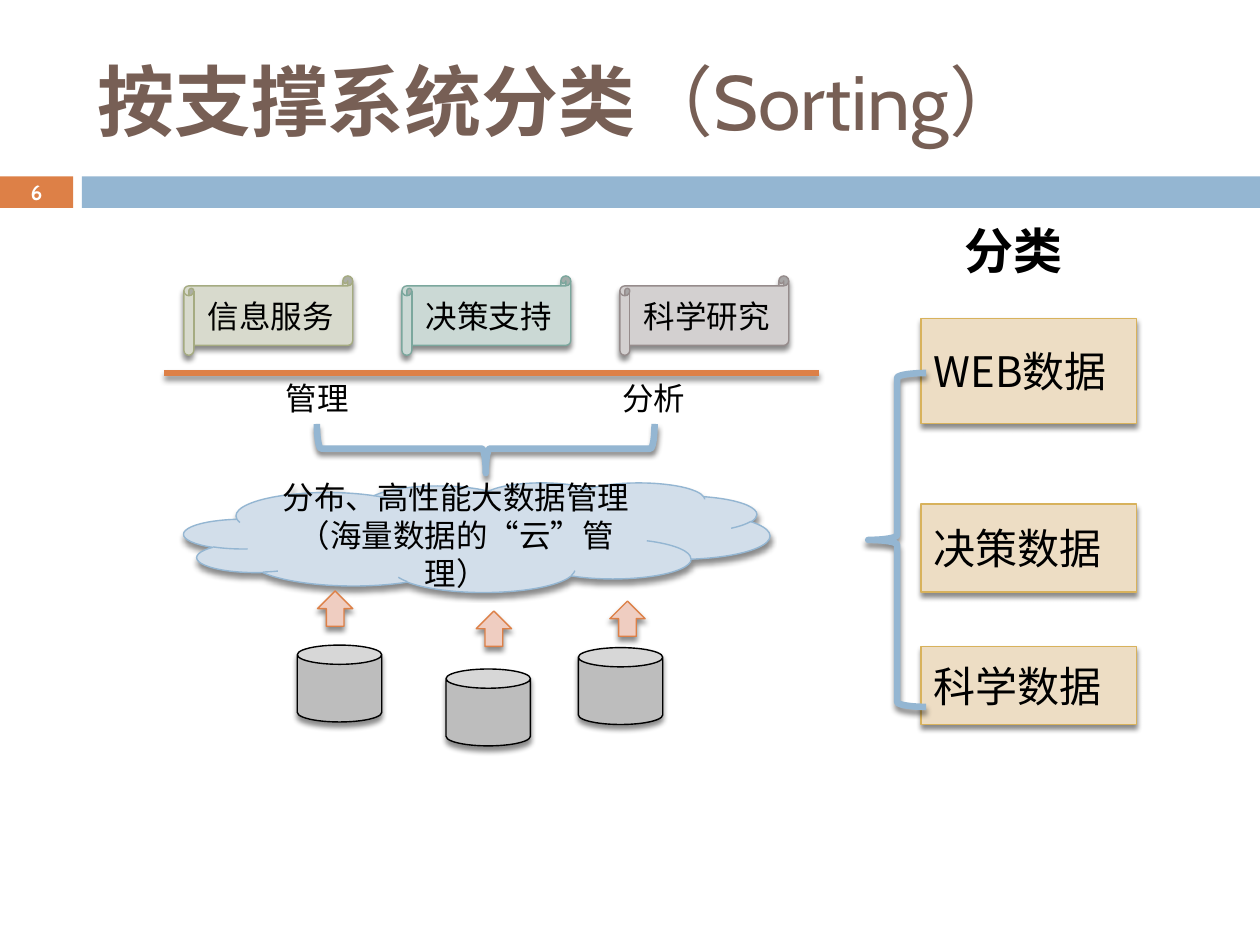
from dataclasses import dataclass
from typing import Optional

import pptx
import pptx.dml.color
import pptx.enum.shapes
import pptx.enum.text
import pptx.oxml.ns
import pptx.util
from lxml import etree

Inches = pptx.util.Inches
Pt = pptx.util.Pt
RGBColor = pptx.dml.color.RGBColor
Shape = pptx.enum.shapes.MSO_SHAPE
Align = pptx.enum.text.PP_ALIGN
Anchor = pptx.enum.text.MSO_ANCHOR
qn = pptx.oxml.ns.qn

BLACK = RGBColor(0x00, 0x00, 0x00)
WHITE = RGBColor(0xFF, 0xFF, 0xFF)
BROWN = RGBColor(0x77, 0x5F, 0x55)
ORANGE = RGBColor(0xDD, 0x80, 0x47)
LIGHT_ORANGE = RGBColor(0xEF, 0xCD, 0xC1)
BLUE = RGBColor(0x94, 0xB6, 0xD2)
LIGHT_BLUE = RGBColor(0xD2, 0xDE, 0xEA)
GREEN = RGBColor(0xA5, 0xAB, 0x81)
LIGHT_GREEN = RGBColor(0xD8, 0xDA, 0xCD)
TEAL = RGBColor(0x7B, 0xA7, 0x9D)
LIGHT_TEAL = RGBColor(0xCB, 0xD9, 0xD5)
GREY = RGBColor(0x96, 0x8C, 0x8C)
LIGHT_GREY = RGBColor(0xD3, 0xD0, 0xD0)
GOLD = RGBColor(0xD8, 0xB2, 0x5C)
SAND = RGBColor(0xED, 0xDD, 0xC4)
SILVER = RGBColor(0xBD, 0xBD, 0xBD)

LATIN_FONT = "Cabin"
CJK_FONT = "Noto Sans CJK JP"
THIN, THICK = 0.79, 3.75


@dataclass
class Box:
    left: float
    top: float
    width: float
    height: float


@dataclass
class Node:
    kind: Shape
    box: Box
    fill: Optional[RGBColor]
    line: Optional[RGBColor]
    weight: float = THIN
    rotation: float = 0
    text: str = ""
    size: float = 18
    align: Align = Align.CENTER
    shadow: bool = True


def place(sp, box: Box) -> None:
    sp.left, sp.top = Inches(box.left), Inches(box.top)
    sp.width, sp.height = Inches(box.width), Inches(box.height)


def format_run(r, size: float, color: RGBColor, font: str = CJK_FONT, bold: bool = False) -> None:
    r.font.size = Pt(size)
    r.font.bold = bold
    r.font.color.rgb = color
    r.font.name = font
    if font == CJK_FONT:
        etree.SubElement(r.font._element, qn("a:ea"), typeface=font)


def write(tf, text: str, align: Align, size: float, color: RGBColor = BLACK,
          font: str = CJK_FONT, bold: bool = False) -> None:
    tf.text = text
    for p in tf.paragraphs:
        p.alignment = align
        for r in p.runs:
            format_run(r, size, color, font, bold)


def add_shadow(sp) -> None:
    """Soft black shadow straight below; call after fill and line are set."""
    sp_pr = sp._element.spPr
    effects = sp_pr.find(qn("a:effectLst"))
    if effects is None:
        effects = etree.SubElement(sp_pr, qn("a:effectLst"))
    outer = etree.SubElement(effects, qn("a:outerShdw"), blurRad=str(Pt(3)),
                             dist=str(Pt(2.4)), dir="5400000", rotWithShape="0")
    color = etree.SubElement(outer, qn("a:srgbClr"), val=str(BLACK))
    etree.SubElement(color, qn("a:alpha"), val="45000")


def add_node(slide, node: Node):
    sp = slide.shapes.add_shape(node.kind, 0, 0, 0, 0)
    place(sp, node.box)
    sp.rotation = node.rotation
    if node.fill is None:
        sp.fill.background()
    else:
        sp.fill.solid()
        sp.fill.fore_color.rgb = node.fill
    if node.line is None:
        sp.line.fill.background()
    else:
        sp.line.color.rgb = node.line
        sp.line.width = Pt(node.weight)
    sp.shadow.inherit = False
    if node.shadow:
        add_shadow(sp)
    if node.text:
        tf = sp.text_frame
        tf.word_wrap = True
        tf.vertical_anchor = Anchor.MIDDLE
        write(tf, node.text, node.align, node.size)
    return sp


def add_label(slide, text: str, box: Box, size: float, bold: bool = False) -> None:
    sp = slide.shapes.add_textbox(0, 0, 0, 0)
    place(sp, box)
    sp.text_frame.word_wrap = False
    sp.text_frame.auto_size = pptx.enum.text.MSO_AUTO_SIZE.SHAPE_TO_FIT_TEXT
    write(sp.text_frame, text, Align.LEFT, size, bold=bold)


def add_header(slide) -> None:
    add_node(slide, Node(Shape.RECTANGLE, Box(0.65, 1.4, 9.35, 0.25), BLUE, None, shadow=False))
    number = add_node(slide, Node(Shape.RECTANGLE, Box(0, 1.4, 0.58, 0.25), ORANGE, None, shadow=False))
    tf = number.text_frame
    tf.margin_top = tf.margin_bottom = 0
    tf.vertical_anchor = Anchor.MIDDLE
    write(tf, "6", Align.CENTER, 11.9, WHITE, LATIN_FONT, True)

    title = slide.shapes.title
    place(title, Box(0.67, 0.25, 8.92, 1.08))
    tf = title.text_frame
    tf.auto_size = pptx.enum.text.MSO_AUTO_SIZE.NONE
    tf.vertical_anchor = Anchor.MIDDLE
    p = tf.paragraphs[0]
    p.alignment = Align.LEFT
    for text, bold in (("按支撑系统分类", True), ("（Sorting）", False)):
        r = p.add_run()
        r.text = text
        format_run(r, 44, BROWN, LATIN_FONT, bold)


def add_system(slide) -> None:
    add_node(slide, Node(Shape.CLOUD, Box(1.46, 3.83, 4.65, 0.87), LIGHT_BLUE, BLUE,
                         text="分布、高性能大数据管理\n（海量数据的“云”管理）"))
    add_node(slide, Node(Shape.RIGHT_BRACE, Box(3.66, 2.22, 0.39, 2.68), None, BLUE, THICK, 90))
    for text, left in (("管理", 2.17), ("分析", 4.84)):
        add_label(slide, text, Box(left, 2.96, 0.71, 0.4), 18)

    services = (("信息服务", LIGHT_GREEN, GREEN),
                ("决策支持", LIGHT_TEAL, TEAL),
                ("科学研究", LIGHT_GREY, GREY))
    for i, (text, fill, line) in enumerate(services):
        add_node(slide, Node(Shape.HORIZONTAL_SCROLL, Box(1.46 + 1.73 * i, 2.19, 1.34, 0.63),
                             fill, line, text=text))

    divider = slide.shapes.add_connector(pptx.enum.shapes.MSO_CONNECTOR.STRAIGHT, Inches(1.3),
                                         Inches(2.96), Inches(6.5), Inches(2.96))
    divider.line.color.rgb = ORANGE
    divider.line.width = Pt(THICK)
    add_shadow(divider)

    for left, top in ((2.36, 5.12), (3.54, 5.31), (4.59, 5.14)):
        add_node(slide, Node(Shape.CAN, Box(left, top, 0.67, 0.61), SILVER, BLACK))
    for left, top in ((2.52, 4.69), (3.78, 4.85), (4.84, 4.77)):
        add_node(slide, Node(Shape.UP_ARROW, Box(left, top, 0.28, 0.28), LIGHT_ORANGE, ORANGE))


def add_categories(slide) -> None:
    add_label(slide, "分类", Box(7.56, 1.7, 0.99, 0.57), 28, bold=True)
    for text, top, height in (("WEB数据", 2.53, 0.83), ("决策数据", 4, 0.7), ("科学数据", 5.13, 0.62)):
        add_node(slide, Node(Shape.RECTANGLE, Box(7.31, top, 1.71, height), SAND, GOLD,
                             text=text, size=24, align=Align.LEFT))
    add_node(slide, Node(Shape.RIGHT_BRACE, Box(6.89, 2.96, 0.46, 2.65), None, BLUE, THICK, 180))


def main() -> None:
    prs = pptx.Presentation()
    prs.slide_width, prs.slide_height = Inches(10), Inches(7.5)
    slide = prs.slides.add_slide(prs.slide_layouts[5])
    add_header(slide)
    add_system(slide)
    add_categories(slide)
    prs.save("out.pptx")


if __name__ == "__main__":
    main()
